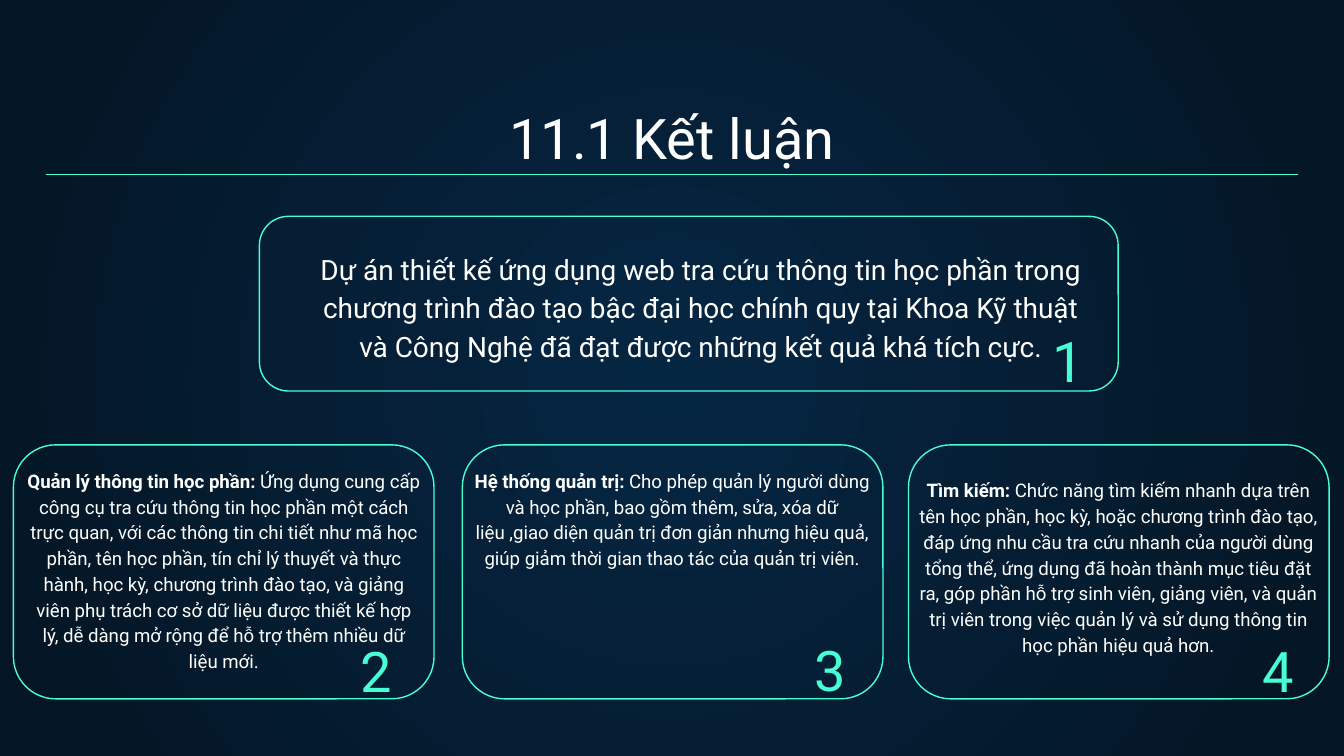
from lxml.etree import SubElement
from pptx import Presentation
from pptx.dml.color import RGBColor
from pptx.enum.shapes import MSO_CONNECTOR, MSO_SHAPE
from pptx.enum.text import MSO_ANCHOR, MSO_AUTO_SIZE, PP_ALIGN
from pptx.oxml.ns import qn
from pptx.util import Inches, Pt

theme = {
    "font": "Roboto",
    "text": RGBColor.from_string("FFFFFF"),
    "accent": RGBColor.from_string("48FFD5"),
    "center": RGBColor.from_string("052643"),
    "edge": RGBColor.from_string("041523"),
    "head": Pt(30),
    "lead": Pt(15),
    "body": Pt(10),
    "line": Pt(0.75),
}

frame_format = {
    "word_wrap": True,
    "auto_size": MSO_AUTO_SIZE.NONE,
    "margin_left": Inches(0.1),
    "margin_right": Inches(0.1),
    "margin_top": Inches(0.1),
    "margin_bottom": Inches(0.1),
}
head_format = {"alignment": PP_ALIGN.CENTER}
body_format = {**head_format, "line_spacing": 1.15, "space_after": Pt(16)}


def write(shape, runs, size, color, anchor, para_format):
    """Fill a shape with one paragraph of (text, bold) runs."""
    frame = shape.text_frame
    for name, value in {**frame_format, "vertical_anchor": anchor}.items():
        setattr(frame, name, value)
    para = frame.paragraphs[0]
    for name, value in para_format.items():
        setattr(para, name, value)
    for text, bold in runs:
        run = para.add_run()
        run.text = text
        font = {"name": theme["font"], "size": size, "bold": bold}
        for name, value in font.items():
            setattr(run.font, name, value)
        run.font.color.rgb = color


# 16:9 slide
deck = Presentation()
deck.slide_width = Inches(10)
deck.slide_height = Inches(10) * 9 // 16
slide = deck.slides.add_slide(deck.slide_layouts[5])
shapes = slide.shapes

# Radial background
fill = slide.background.fill
fill.gradient()
for stop, color in zip(fill.gradient_stops, ("center", "edge")):
    stop.color.rgb = theme[color]
grad = slide.element.find(".//" + qn("a:gradFill"))
grad.remove(grad.find(qn("a:lin")))
radial = SubElement(grad, qn("a:path"), {"path": "circle"})
SubElement(radial, qn("a:fillToRect"), dict.fromkeys("ltrb", "50000"))

# Title and rule
title = shapes.title
place = {"left": 0.34, "top": 0.71, "width": 9.32, "height": 0.66}
for name, value in place.items():
    setattr(title, name, Inches(value))
write(title, [("11.1 Kết luận", False)], theme["head"], theme["text"],
      MSO_ANCHOR.BOTTOM, head_format)

rule = shapes.add_connector(MSO_CONNECTOR.STRAIGHT, Inches(0.34), Inches(1.3),
                            Inches(9.66), Inches(1.3))
rule.line.color.rgb = theme["accent"]
rule.line.width = theme["line"]
SubElement(rule.element.spPr, qn("a:effectLst"))

# Cards: outline, text area, number position, type size, bold lead, text
cards = [
    ((1.93, 1.61, 6.39, 1.3), (2.25, 1.74, 5.93, 0.45), (7.58, 2.37), "lead",
     "",
     "Dự án thiết kế ứng dụng web tra cứu thông tin học phần trong chương "
     "trình đào tạo bậc đại học chính quy tại Khoa Kỹ thuật và Công Nghệ đã "
     "đạt được những kết quả khá tích cực."),
    ((0.1, 3.31, 3.13, 1.89), (0.1, 3.37, 3.13, 1.48), (2.43, 4.68), "body",
     "Quản lý thông tin học phần: ",
     "Ứng dụng cung cấp công cụ tra cứu thông tin học phần một cách trực "
     "quan, với các thông tin chi tiết như mã học phần, tên học phần, tín chỉ "
     "lý thuyết và thực hành, học kỳ, chương trình đào tạo, và giảng viên phụ "
     "trách cơ sở dữ liệu được thiết kế hợp lý, dễ dàng mở rộng để hỗ trợ "
     "thêm nhiều dữ liệu mới."),
    ((3.44, 3.31, 3.13, 1.89), (3.39, 3.37, 3.22, 0.98), (5.81, 4.67), "body",
     "Hệ thống quản trị: ",
     "Cho phép quản lý người dùng và học phần, bao gồm thêm, sửa, xóa dữ "
     "liệu ,giao diện quản trị đơn giản nhưng hiệu quả, giúp giảm thời gian "
     "thao tác của quản trị viên."),
    ((6.76, 3.31, 3.13, 1.89), (6.71, 3.44, 3.22, 1.48), (9.14, 4.68), "body",
     "Tìm kiếm:",
     " Chức năng tìm kiếm nhanh dựa trên tên học phần, học kỳ, hoặc chương "
     "trình đào tạo, đáp ứng nhu cầu tra cứu nhanh của người dùng tổng thể, "
     "ứng dụng đã hoàn thành mục tiêu đặt ra, góp phần hỗ trợ sinh viên, "
     "giảng viên, và quản trị viên trong việc quản lý và sử dụng thông tin "
     "học phần hiệu quả hơn."),
]

for number, (edge, area, spot, size, lead, text) in enumerate(cards, 1):
    card = shapes.add_shape(MSO_SHAPE.FLOWCHART_ALTERNATE_PROCESS,
                            *map(Inches, edge))
    card.shadow.inherit = False
    card.fill.background()
    card.line.color.rgb = theme["accent"]
    card.line.width = theme["line"]

    runs = [(lead, True), (text, False)] if lead else [(text, False)]
    write(shapes.add_textbox(*map(Inches, area)), runs, theme[size],
          theme["text"], MSO_ANCHOR.TOP, body_format)
    write(shapes.add_textbox(*map(Inches, (*spot, 0.74, 0.66))),
          [(str(number), False)], theme["head"], theme["accent"],
          MSO_ANCHOR.BOTTOM, head_format)

deck.save("out.pptx")
